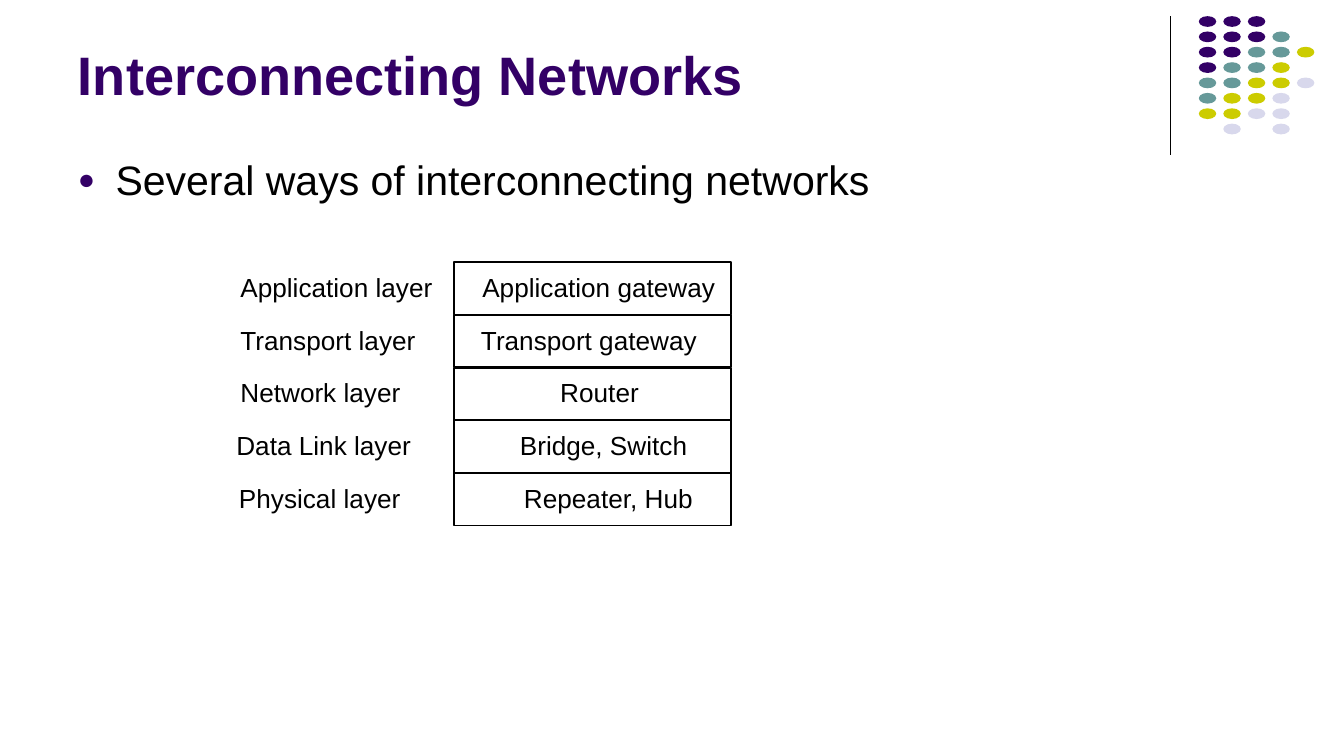
import dataclasses

import lxml.etree
import pptx
import pptx.dml.color
import pptx.enum.shapes
import pptx.enum.text
import pptx.oxml.ns
import pptx.util

Inches = pptx.util.Inches


@dataclasses.dataclass(frozen=True)
class Theme:
    font: str = "Arial"
    purple: str = "330066"
    teal: str = "669999"
    yellow: str = "CCCC00"
    lavender: str = "D8D8EC"
    black: str = "000000"
    white: str = "FFFFFF"
    title_size: int = 29
    body_size: int = 22
    label_size: int = 14
    rule_width: float = 0.75
    border_width: float = 1


THEME = Theme()
DOT_ROWS = ["PPP", "PPPT", "PPTTY", "PTTY", "TTYYL", "TYYL", "YYLL", " L L"]
DOT_COLORS = {"P": THEME.purple, "T": THEME.teal,
              "Y": THEME.yellow, "L": THEME.lavender}
LAYERS = [
    ("Application layer", "Application gateway", 0.03, 1.8),
    ("Transport layer", "Transport gateway", 0.03, 1.79),
    ("Network layer", "Router", 0.03, 2.38),
    ("Data Link layer", "Bridge, Switch", 0, 2.11),
    ("Physical layer", "Repeater, Hub", 0.02, 2.12),
]


def rgb(color):
    return pptx.dml.color.RGBColor.from_string(color)


def add_element(parent, tag, **attributes):
    element = lxml.etree.SubElement(parent, pptx.oxml.ns.qn(tag))
    for name, value in attributes.items():
        element.set(name, str(value))
    return element


def place(part, left, top, width, height):
    part.left, part.top = Inches(left), Inches(top)
    part.width, part.height = Inches(width), Inches(height)


def add_run(paragraph, text, size, color, bold=False):
    run = paragraph.add_run()
    run.text = text
    run.font.name = THEME.font
    run.font.size = pptx.util.Pt(size)
    run.font.bold = bold
    run.font.color.rgb = rgb(color)


def add_filled(shapes, kind, left, top, width, height, fill):
    shape = shapes.add_shape(kind, Inches(left), Inches(top),
                             Inches(width), Inches(height))
    shape.shadow.inherit = False
    shape.fill.solid()
    shape.fill.fore_color.rgb = rgb(fill)
    shape.line.fill.background()
    return shape


def fill_title(title, left, top, width, height):
    place(title, left, top, width, height)
    frame = title.text_frame
    frame.auto_size = pptx.enum.text.MSO_AUTO_SIZE.NONE
    frame.vertical_anchor = pptx.enum.text.MSO_ANCHOR.BOTTOM
    heading = frame.paragraphs[0]
    heading.alignment = pptx.enum.text.PP_ALIGN.LEFT
    add_run(heading, "Interconnecting Networks", THEME.title_size,
            THEME.purple, True)


def fill_body(body, left, top, width, height):
    place(body, left, top, width, height)
    frame = body.text_frame
    frame.auto_size = pptx.enum.text.MSO_AUTO_SIZE.NONE
    point = frame.paragraphs[0]
    properties = point._p.get_or_add_pPr()
    properties.set("marL", str(Inches(0.28)))
    properties.set("indent", str(Inches(-0.28)))
    bullet_color = add_element(properties, "a:buClr")
    add_element(bullet_color, "a:srgbClr", val=THEME.purple)
    add_element(properties, "a:buSzPct", val=70000)
    add_element(properties, "a:buFont", typeface=THEME.font)
    add_element(properties, "a:buChar", char="●")
    point.space_before = pptx.util.Pt(0)
    add_run(point, "Several ways of interconnecting networks",
            THEME.body_size, THEME.black)


def add_dot_ornament(slide, left, top, width, height):
    rule = slide.shapes.add_connector(
        pptx.enum.shapes.MSO_CONNECTOR.STRAIGHT,
        Inches(left), Inches(top), Inches(left), Inches(top + height))
    rule.line.color.rgb = rgb(THEME.black)
    rule.line.width = pptx.util.Pt(THEME.rule_width)
    add_element(rule._element.spPr, "a:effectLst")

    dot_width, dot_height, first_dot = 0.13, 0.08, 0.21
    column_step = (width - first_dot - dot_width) / 4
    row_step = 0.8 / (len(DOT_ROWS) - 1)
    dots = slide.shapes.add_group_shape().shapes
    for row, codes in enumerate(DOT_ROWS):
        for column, code in enumerate(codes):
            if code in DOT_COLORS:
                add_filled(dots, pptx.enum.shapes.MSO_SHAPE.OVAL,
                           left + first_dot + column * column_step,
                           top + row * row_step,
                           dot_width, dot_height, DOT_COLORS[code])


def add_layer_stack(slide, left, top, width, height):
    stack = slide.shapes.add_group_shape().shapes
    row_height = 0.39
    row_step = (height - row_height) / (len(LAYERS) - 1)
    cell_left = 1.72
    for row in range(len(LAYERS)):
        cell = add_filled(stack, pptx.enum.shapes.MSO_SHAPE.RECTANGLE,
                          left + cell_left, top + row * row_step,
                          width - cell_left, row_height, THEME.white)
        cell.line.color.rgb = rgb(THEME.black)
        cell.line.width = pptx.util.Pt(THEME.border_width)
    for row, (layer, device, offset, tab) in enumerate(LAYERS):
        label = stack.add_textbox(
            Inches(left + offset), Inches(top + 0.02 + row * row_step),
            Inches(width - offset), Inches(0.34))
        label.text_frame.word_wrap = True
        line = label.text_frame.paragraphs[0]
        tabs = add_element(line._p.get_or_add_pPr(), "a:tabLst")
        add_element(tabs, "a:tab", pos=Inches(tab), algn="l")
        add_run(line, f"{layer}\t{device}", THEME.label_size, THEME.black)


def main():
    deck = pptx.Presentation()
    deck.slide_width = Inches(10)
    deck.slide_height = deck.slide_width * 9 // 16
    slide = deck.slides.add_slide(deck.slide_layouts[1])
    add_dot_ornament(slide, 8.71, 0.12, 1.07, 1.03)
    fill_title(slide.shapes.title, 0.48, 0, 5.7, 0.84)
    fill_body(slide.placeholders[1], 0.48, 1.1, 6.32, 1.92)
    add_layer_stack(slide, 1.66, 1.95, 3.78, 1.96)
    deck.save("out.pptx")


if __name__ == "__main__":
    main()
